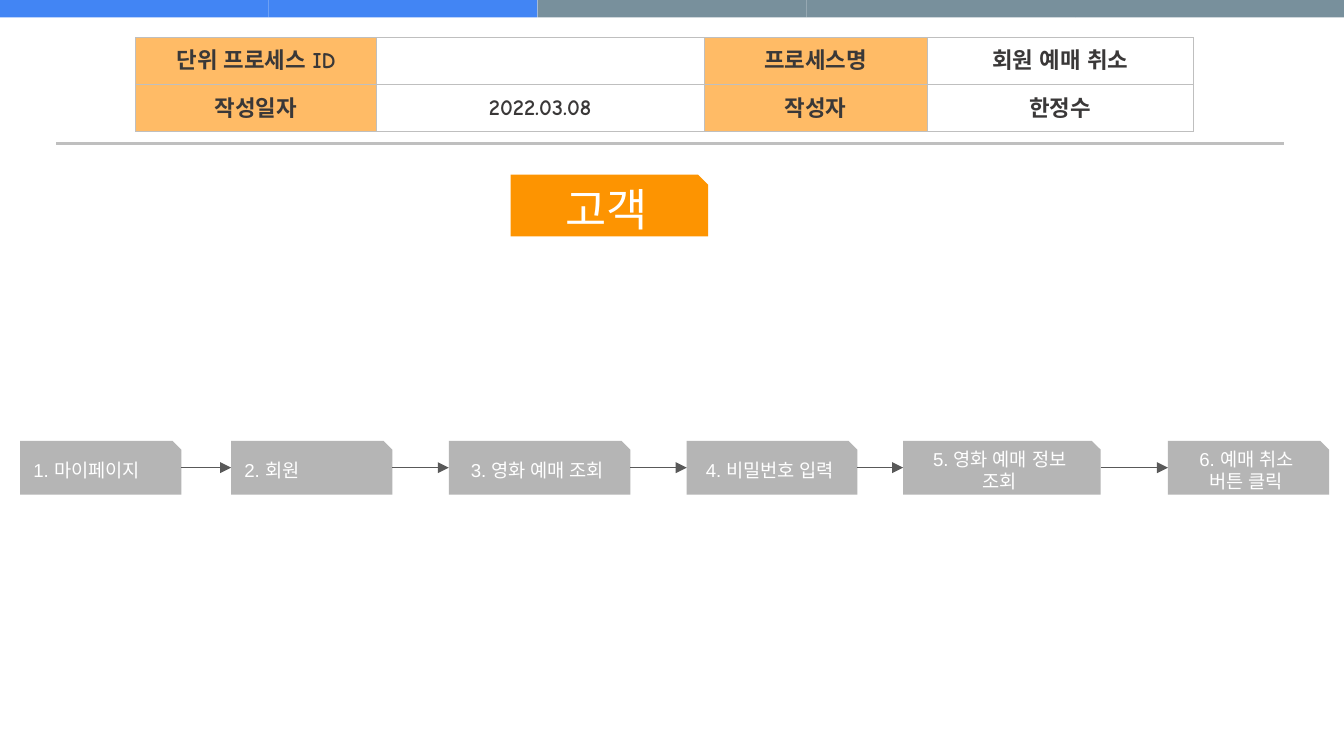
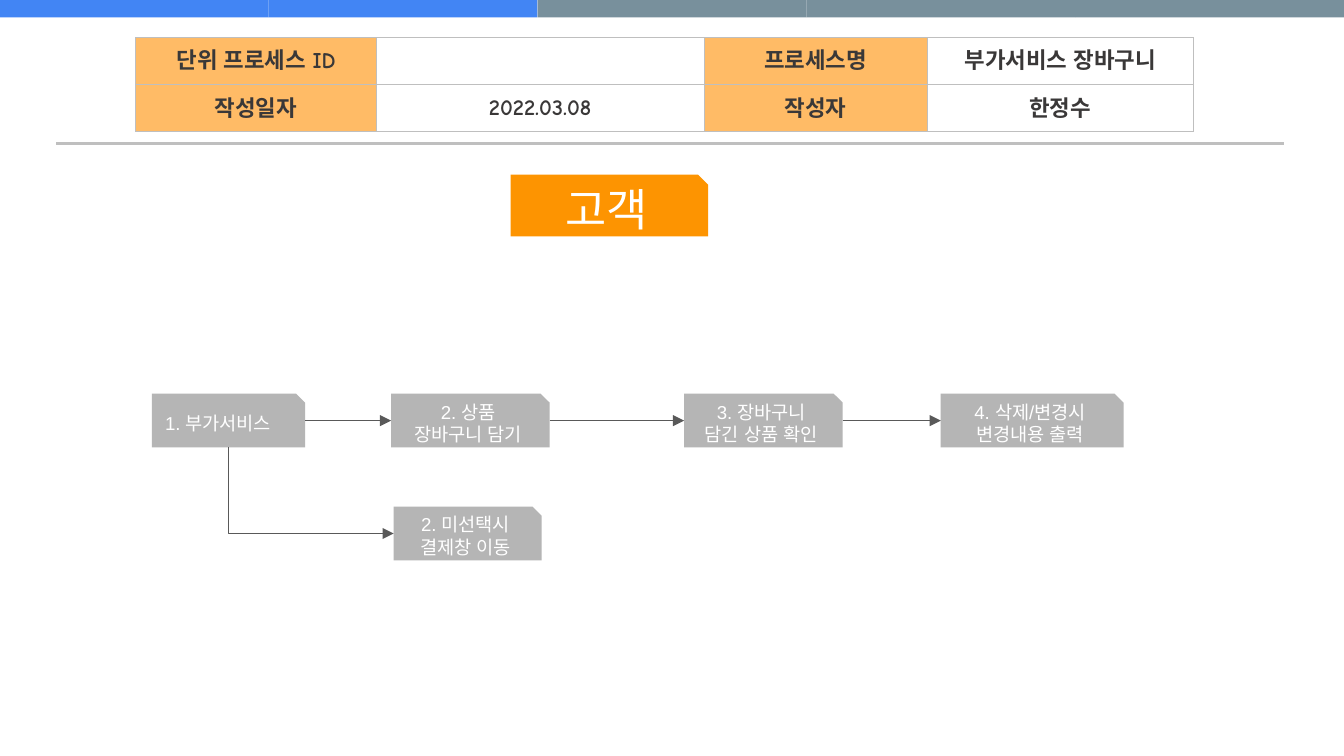
from itertools import pairwise

from lxml import etree
from pptx import Presentation
from pptx.dml.color import RGBColor
from pptx.enum.shapes import MSO_CONNECTOR, MSO_SHAPE
from pptx.enum.text import MSO_ANCHOR, PP_ALIGN
from pptx.oxml.ns import qn
from pptx.util import Inches, Pt

COLORS = {
    "blue": "4285F4", "slate": "78909C", "rule": "BFBFBF", "label": "FFAB40",
    "white": "FFFFFF", "ink": "3A3838", "actor": "FD9401", "step": "B5B5B5",
    "arrow": "595959",
}
BANDS = ["blue", "blue", "slate", "slate", "slate"]
COLUMNS = [1.79, 2.44, 1.66, 1.98]
TOP, LEFT, BOTTOM, RIGHT = range(4)


def rgb(name):
    """Return the named colour."""
    return RGBColor.from_string(COLORS[name])


def add_xml(parent, tag, **attrs):
    """Append a child element with attributes."""
    return etree.SubElement(parent, qn(tag), **attrs)


def write(tf, text, size=10, font="Arial", color="white", bold=False,
          align=PP_ALIGN.CENTER):
    """Fill a text frame, one paragraph for each line."""
    tf.word_wrap = True
    for i, line in enumerate(text.split("\n")):
        p = tf.paragraphs[0] if i == 0 else tf.add_paragraph()
        p.alignment = align
        if not line:
            add_xml(p._p, "a:endParaRPr", sz=str(size * 100))
            continue
        r = p.add_run()
        r.text = line
        r.font.size, r.font.name, r.font.bold = Pt(size), font, bold
        r.font.color.rgb = rgb(color)
        add_xml(r._r.get_or_add_rPr(), "a:ea", typeface="Arial")


def add_box(s, kind, left, top, width, height, fill):
    """Add a plain filled shape."""
    sp = s.shapes.add_shape(kind, Inches(left), Inches(top), Inches(width), Inches(height))
    sp.shadow.inherit = False
    sp.fill.solid()
    sp.fill.fore_color.rgb = rgb(fill)
    sp.line.fill.background()
    return sp


def add_card(s, text, left, top, width, height=0.4, fill="step", **fmt):
    """Add a labelled box with one snipped corner."""
    sp = add_box(s, MSO_SHAPE.SNIP_1_RECTANGLE, left, top, width, height, fill)
    sp.text_frame.vertical_anchor = MSO_ANCHOR.MIDDLE
    write(sp.text_frame, text, **fmt)
    return sp


def add_line(s, start=(0, 0), end=(0, 0), color="arrow", width=0.75):
    """Add a straight line between two points."""
    points = [Inches(v) for v in (*start, *end)]
    cxn = s.shapes.add_connector(MSO_CONNECTOR.STRAIGHT, *points)
    cxn.line.color.rgb = rgb(color)
    cxn.line.width = Pt(width)
    add_xml(cxn._element.spPr, "a:effectLst")
    return cxn


def add_arrow(s, source, target, side=RIGHT):
    """Join two cards with an arrow into the left side of the target."""
    cxn = add_line(s)
    cxn.begin_connect(source, side)
    cxn.end_connect(target, LEFT)
    add_xml(cxn.line._get_or_add_ln(), "a:tailEnd", type="triangle")
    return cxn


def add_branch(s, source, target):
    """Join two cards with an arrow that runs down and then right."""
    cxn = add_arrow(s, source, target, BOTTOM)
    across, down = cxn.width, cxn.height
    cxn.left += (across - down) // 2
    cxn.top += (down - across) // 2
    cxn.width, cxn.height = down, across
    spPr = cxn._element.spPr
    spPr.find(qn("a:prstGeom")).set("prst", "bentConnector2")
    xfrm = spPr.find(qn("a:xfrm"))
    xfrm.set("rot", str(270 * 60000))
    xfrm.set("flipH", "1")


def add_flow(s, top, steps):
    """Add a row of cards joined by arrows and return the cards."""
    cards = []
    for text, left, width, align in steps:
        cards.append(add_card(s, text, left, top, width, align=align))
    for source, target in pairwise(cards):
        add_arrow(s, source, target)
    return cards


def style_cell(cell, fill, alpha=None):
    """Set the fill, margins and borders of a table cell."""
    cell.vertical_anchor = MSO_ANCHOR.MIDDLE
    cell.margin_left = cell.margin_right = Inches(0.08)
    cell.margin_top = cell.margin_bottom = Inches(0.04)
    tcPr = cell._tc.get_or_add_tcPr()
    for side in ("L", "R", "T", "B"):
        ln = add_xml(tcPr, f"a:ln{side}", w=str(Pt(0.75)))
        add_xml(add_xml(ln, "a:solidFill"), "a:srgbClr", val=COLORS["rule"])
    cell.fill.solid()
    cell.fill.fore_color.rgb = rgb(fill)
    if alpha:
        clr = tcPr.find(qn("a:solidFill")).find(qn("a:srgbClr"))
        add_xml(clr, "a:alpha", val=str(alpha * 1000))


def add_header_table(s, process):
    """Add the table that identifies the process."""
    rows = [["단위 프로세스 ID", "", "프로세스명", process],
            ["작성일자", "2022.03.08", "작성자", "한정수"]]
    frame = s.shapes.add_table(2, 4, Inches(1.01), Inches(0.28),
                               Inches(sum(COLUMNS)), Inches(0.7))
    table = frame.table
    table.first_row = table.horz_banding = False
    for column, width in zip(table.columns, COLUMNS):
        column.width = Inches(width)
    for i, row in enumerate(rows):
        for j, text in enumerate(row):
            cell = table.cell(i, j)
            if j % 2 == 0:
                style_cell(cell, "label", alpha=80)
            else:
                style_cell(cell, "white")
            write(cell.text_frame, text, size=12, font="Comic Neue", color="ink", bold=True)


def add_process_slide(prs, process):
    """Add a slide with the bands, header table and actor."""
    s = prs.slides.add_slide(prs.slide_layouts[6])
    for i, color in enumerate(BANDS):
        add_box(s, MSO_SHAPE.RECTANGLE, 2 * i, 0, 2, 0.13, color)
    add_line(s, (0.42, 1.07), (9.55, 1.07), "rule", 1.5)
    add_header_table(s, process)
    add_card(s, "고객", 3.8, 1.3, 1.47, 0.46, "actor", size=24)
    return s


def main():
    """Build the two process slides."""
    prs = Presentation()
    prs.slide_width = Inches(10)
    prs.slide_height = prs.slide_width * 9 // 16
    left, center = PP_ALIGN.LEFT, PP_ALIGN.CENTER

    s = add_process_slide(prs, "회원 예매 취소")
    add_flow(s, 3.28, [
        ("1. 마이페이지", 0.15, 1.2, left),
        ("2. 회원", 1.72, 1.2, left),
        ("3. 영화 예매 조회", 3.34, 1.35, center),
        ("4. 비밀번호 입력", 5.11, 1.27, center),
        ("5. 영화 예매 정보\n조회", 6.72, 1.47, center),
        ("6. 예매 취소\n버튼 클릭", 8.69, 1.2, center),
    ])

    s = add_process_slide(prs, "부가서비스 장바구니")
    cards = add_flow(s, 2.93, [
        ("1. 부가서비스", 1.13, 1.14, left),
        ("2. 상품 장바구니 담기", 2.91, 1.18, center),
        ("3. 장바구니 담긴 상품 확인", 5.09, 1.18, center),
        ("4. 삭제/변경시 변경내용 출력", 7, 1.36, center),
    ])
    checkout = add_card(s, "2. 미선택시 결제창 이동", 2.93, 3.77, 1.1)
    add_branch(s, cards[0], checkout)

    prs.save("out.pptx")


if __name__ == "__main__":
    main()
